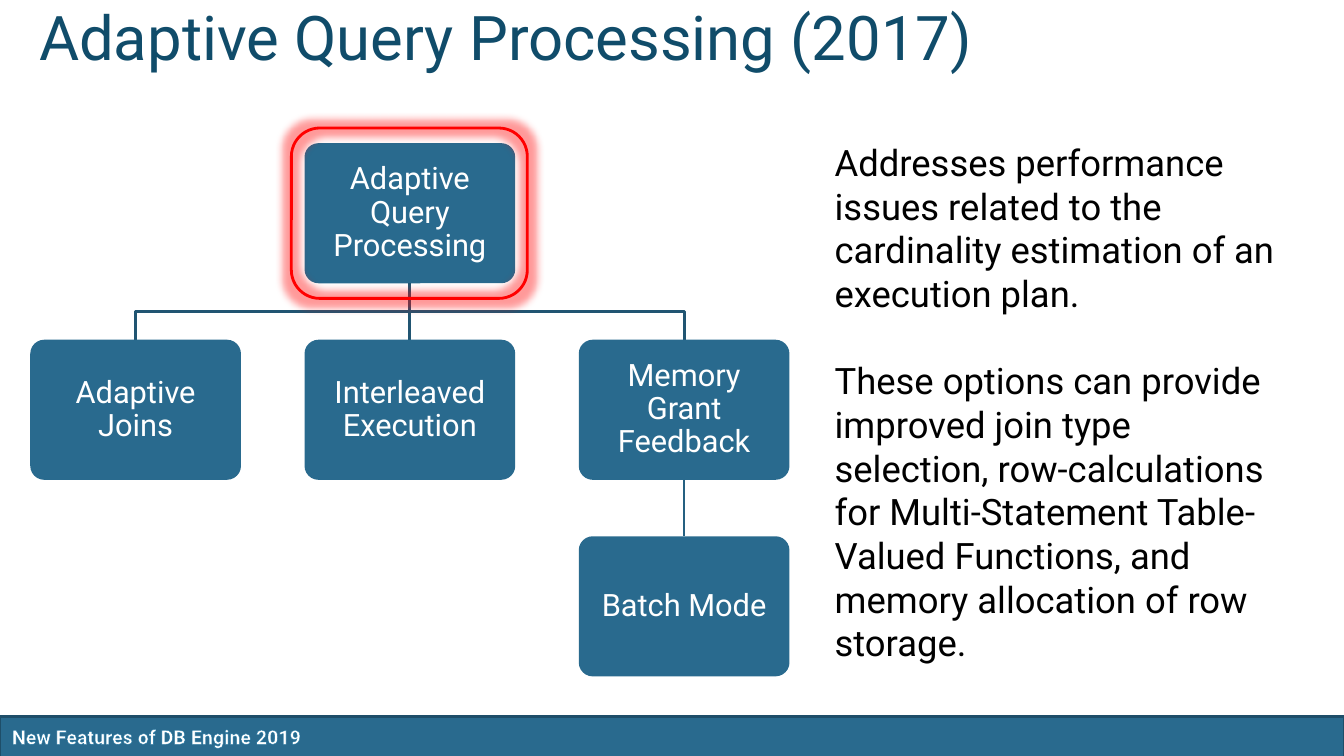
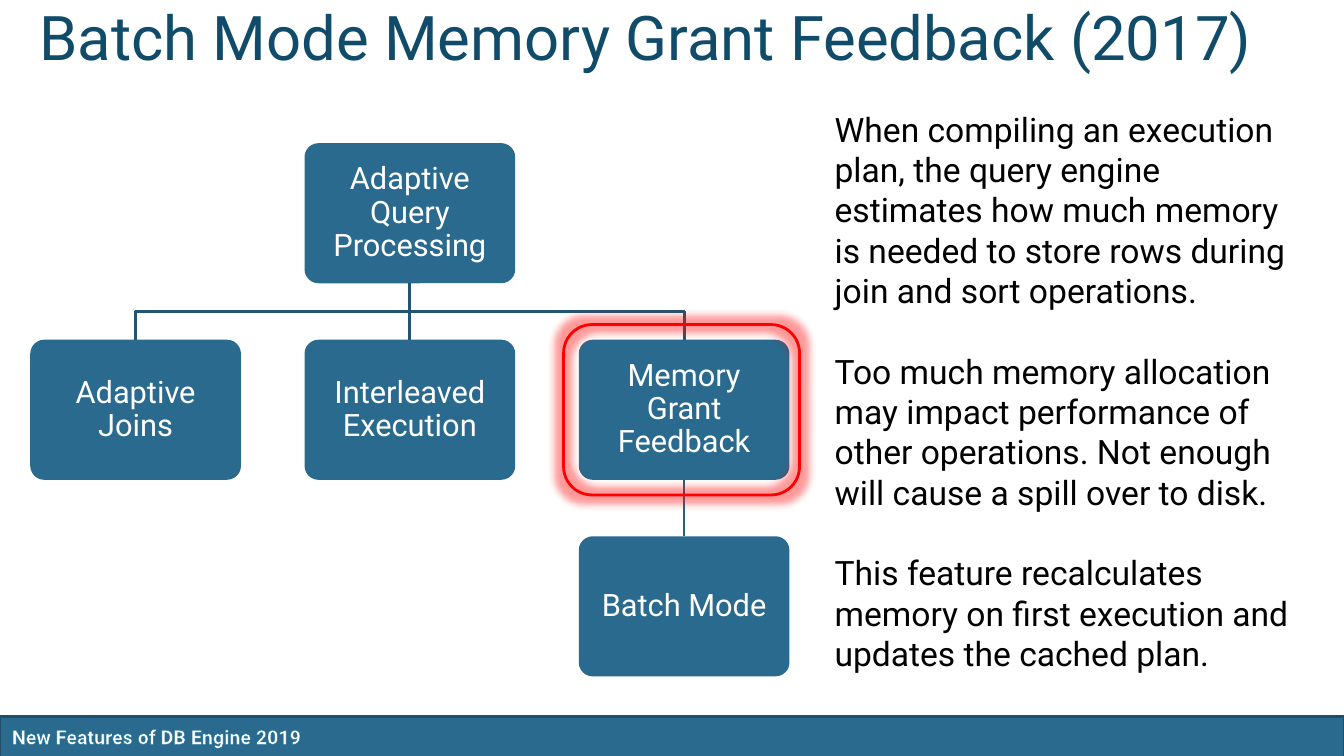
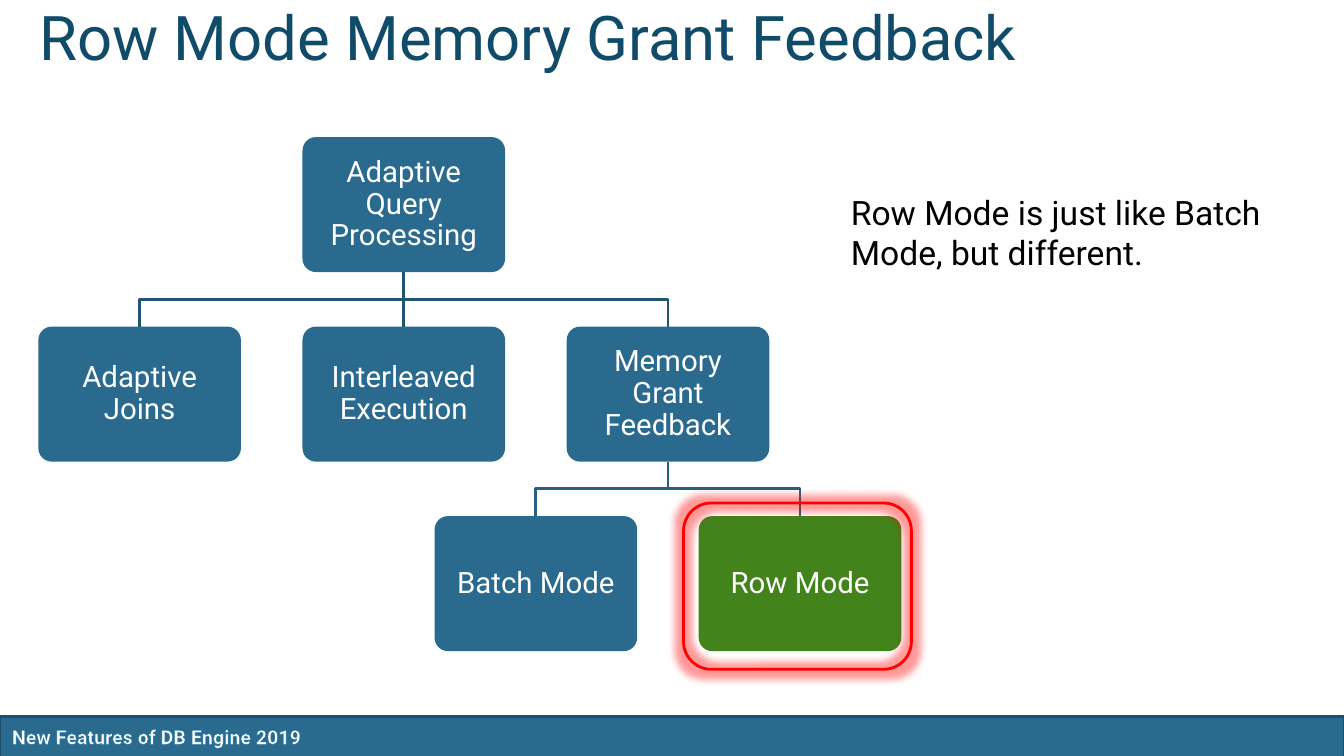
"""Three slides on adaptive query processing, each with a tree diagram and a highlighted node."""
import pptx
import pptx.dml.color
import pptx.enum.shapes
import pptx.enum.text
import pptx.oxml
import pptx.util
from pptx.util import Inches

RGBColor = pptx.dml.color.RGBColor
Pt = pptx.util.Pt
MSO_SHAPE = pptx.enum.shapes.MSO_SHAPE
PP_ALIGN = pptx.enum.text.PP_ALIGN
MSO_ANCHOR = pptx.enum.text.MSO_ANCHOR

BLUE = RGBColor(0x29, 0x6A, 0x8E)
GREEN = RGBColor(0x42, 0x83, 0x1B)
RED = RGBColor(0xFF, 0x00, 0x00)
WHITE = RGBColor(0xFF, 0xFF, 0xFF)
BLACK = RGBColor(0x00, 0x00, 0x00)
TITLE_BLUE = RGBColor(0x10, 0x4C, 0x6A)
BAND_EDGE = RGBColor(0x1E, 0x4E, 0x69)
BRANCH_LINES = {1: RGBColor(0x21, 0x55, 0x72), 2: RGBColor(0x25, 0x60, 0x81)}

DRAWING_NS = 'xmlns:a="http://schemas.openxmlformats.org/drawingml/2006/main"'
NO_EFFECTS = f"<a:effectLst {DRAWING_NS}/>"
GLOW = (f'<a:effectLst {DRAWING_NS}><a:glow rad="139700"><a:srgbClr val="FF0000">'
        '<a:alpha val="40000"/></a:srgbClr></a:glow></a:effectLst>')
LETTER_OUTLINE = (f'<a:ln {DRAWING_NS} w="10160"><a:solidFill><a:srgbClr val="1872A0"/>'
                  '</a:solidFill></a:ln>')

ROOT, JOINS, INTERLEAVED, MEMORY, BATCH, ROW = (
    "Adaptive Query Processing", "Adaptive Joins", "Interleaved Execution",
    "Memory Grant Feedback", "Batch Mode", "Row Mode")
TOP_NODES = [(ROOT, 1, 0, None, BLUE), (JOINS, 0, 1, 1, BLUE),
             (INTERLEAVED, 1, 1, 1, BLUE), (MEMORY, 2, 1, 1, BLUE)]
WIDE_TREE = {"left": 0.3, "top": 1.42, "width": 2.09, "height": 1.39,
             "column_step": 2.72, "row_step": 1.95, "size": 22,
             "nodes": TOP_NODES + [(BATCH, 2, 2, 2, BLUE)]}
SPLIT_TREE = {"left": 0.38, "top": 1.36, "width": 2.01, "height": 1.34,
              "column_step": 2.62, "row_step": 1.88, "size": 21,
              "nodes": TOP_NODES + [(BATCH, 1.5, 2, 2, BLUE), (ROW, 2.5, 2, 2, GREEN)]}

SLIDES = [
    ("Adaptive Query Processing (2017)", WIDE_TREE, (2.89, 1.27, 2.34, 1.69),
     (8.18, 1.34, 4.66, 5.35), 26,
     ["Addresses performance issues related to the cardinality estimation of an "
      "execution plan.",
      "These options can provide improved join type selection, row-calculations for "
      "Multi-Statement Table-Valued Functions, and memory allocation of row storage."]),
    ("Batch Mode Memory Grant Feedback (2017)", WIDE_TREE, (5.59, 3.22, 2.34, 1.69),
     (8.18, 1.03, 4.86, 5.76), 24,
     ["When compiling an execution plan, the query engine estimates how much memory is "
      "needed to store rows during join and sort operations.",
      "Too much memory allocation may impact performance of other operations. Not enough "
      "will cause a spill over to disk.",
      "This feature recalculates memory on first execution and updates the cached plan."]),
    ("Row Mode Memory Grant Feedback", SPLIT_TREE, (6.78, 4.99, 2.26, 1.65),
     (8.34, 1.85, 4.89, 0.91), 24,
     ["Row Mode is just like Batch Mode, but different."]),
]


def write(shape, texts, size, color, bold=False):
    """Fill a shape with paragraphs set one blank line apart and return them."""
    frame = shape.text_frame
    frame.word_wrap = True
    for index, text in enumerate(texts):
        paragraph = frame.paragraphs[0] if index == 0 else frame.add_paragraph()
        paragraph.text = text
        if index:
            paragraph.space_before = Pt(round(size * 1.2, 1))
        paragraph.font.name = "Roboto"
        paragraph.font.size = Pt(size)
        paragraph.font.bold = bold
        paragraph.font.color.rgb = color
    return frame.paragraphs


def add_block(slide, kind, box, fill, edge):
    """Add a preset shape without shadow; fill or edge may be None."""
    shape = slide.shapes.add_shape(kind, *map(Inches, box))
    shape.shadow.inherit = False
    for part, color in ((shape.fill, fill), (shape.line.fill, edge)):
        if color is None:
            part.background()
        else:
            part.solid()
            part.fore_color.rgb = color
    if edge is not None:
        shape.line.width = Pt(2)
    return shape


presentation = pptx.Presentation()
presentation.slide_width = Inches(13.33)
presentation.slide_height = Inches(7.5)

for title, tree, highlight_box, body_box, body_size, body_texts in SLIDES:
    slide = presentation.slides.add_slide(presentation.slide_layouts[6])

    add_block(slide, MSO_SHAPE.RECTANGLE, (0, 7.11, 13.33, 0.4), BLUE, BAND_EDGE)
    footer = slide.shapes.add_textbox(Inches(0.02), Inches(7.14), Inches(6.06), Inches(0.34))
    footer_line = write(footer, ["New Features of DB Engine 2019"], 14, WHITE, bold=True)[0]
    footer_line.runs[0].font._element.insert(0, pptx.oxml.parse_xml(LETTER_OUTLINE))

    heading = slide.shapes.add_textbox(Inches(0.29), Inches(0.19), Inches(12.54), Inches(1.25))
    write(heading, [title], 44, TITLE_BLUE)[0].line_spacing = Pt(35)

    width, height = tree["width"], tree["height"]
    for label, column, row, parent_column, fill in tree["nodes"]:
        left = tree["left"] + column * tree["column_step"]
        top = tree["top"] + row * tree["row_step"]
        if parent_column is not None:
            child_x = left + width / 2
            parent_x = child_x + (parent_column - column) * tree["column_step"]
            parent_y = top - tree["row_step"] + height
            middle_y = (parent_y + top) / 2
            if parent_column == column:
                branch = slide.shapes.add_connector(
                    pptx.enum.shapes.MSO_CONNECTOR.STRAIGHT,
                    Inches(child_x), Inches(parent_y), Inches(child_x), Inches(top))
                branch._element.spPr.append(pptx.oxml.parse_xml(NO_EFFECTS))
            else:
                builder = slide.shapes.build_freeform(Inches(parent_x), Inches(parent_y))
                builder.add_line_segments(
                    [(Inches(x), Inches(y)) for x, y in
                     ((parent_x, middle_y), (child_x, middle_y), (child_x, top))], close=False)
                branch = builder.convert_to_shape()
                branch.fill.background()
                branch.shadow.inherit = False
            branch.line.color.rgb = BRANCH_LINES[row]
            branch.line.width = Pt(2)

        node = add_block(slide, MSO_SHAPE.ROUNDED_RECTANGLE, (left, top, width, height), fill, None)
        node.adjustments[0] = 0.1
        frame = node.text_frame
        frame.vertical_anchor = MSO_ANCHOR.MIDDLE
        frame.margin_left = frame.margin_right = Inches(0.09)
        frame.margin_top = frame.margin_bottom = Inches(0.09)
        paragraph = write(node, [label], tree["size"], WHITE)[0]
        paragraph.alignment = PP_ALIGN.CENTER
        paragraph.line_spacing = 0.9

    body = slide.shapes.add_textbox(*map(Inches, body_box))
    write(body, body_texts, body_size, BLACK)

    highlight = add_block(slide, MSO_SHAPE.ROUNDED_RECTANGLE, highlight_box, None, RED)
    properties = highlight._element.spPr
    properties.remove(properties.find(pptx.oxml.ns.qn("a:effectLst")))
    properties.append(pptx.oxml.parse_xml(GLOW))

presentation.save("out.pptx")
